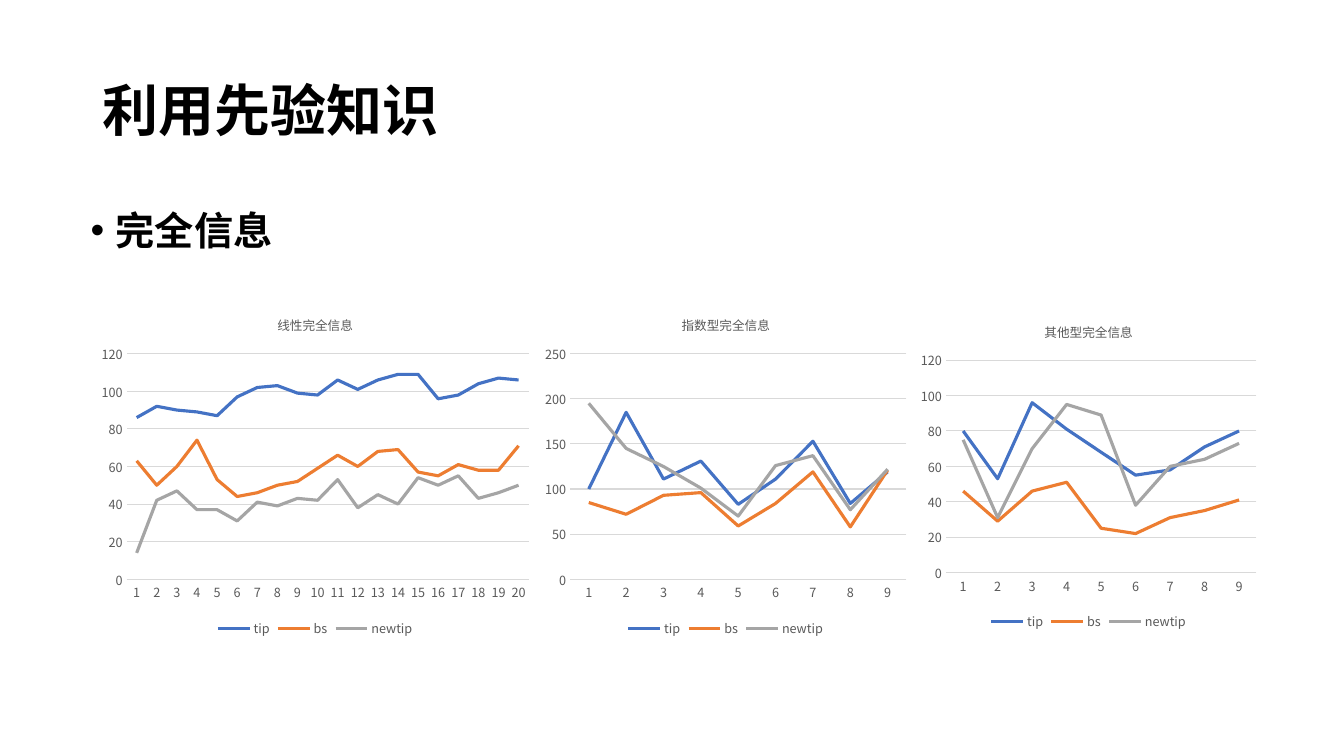
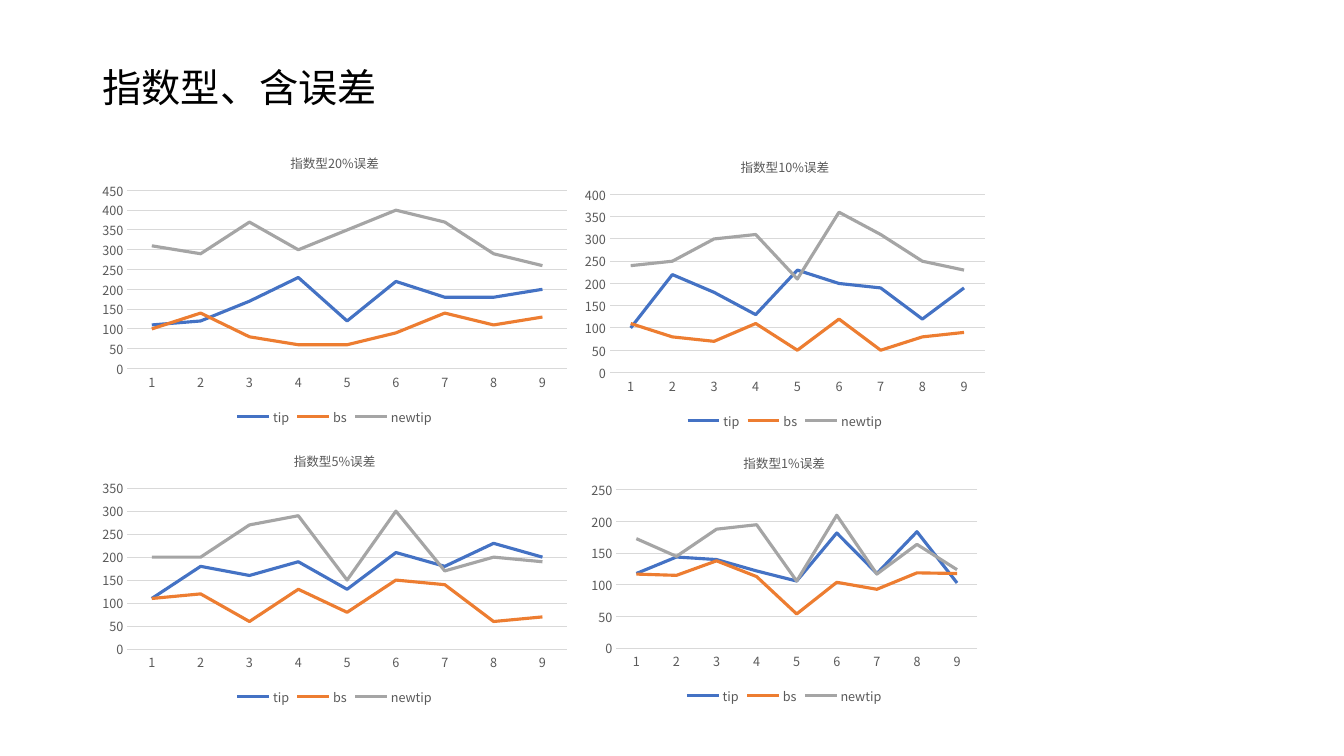
"""Builds two slides of line charts that compare three series."""
from dataclasses import dataclass

from lxml import etree
from pptx import Presentation, util as u
from pptx.chart import data as chart_data
from pptx.dml.color import RGBColor
from pptx.enum import chart as charts, text
from pptx.oxml import ns

FONT = "Noto Sans CJK SC"
BLACK, GREY, RULE = "000000", "595959", "D9D9D9"
SERIES = {"tip": "4472C4", "bs": "ED7D31", "newtip": "A5A5A5"}
WIDTH, HEIGHT = u.Inches(13.33), u.Inches(7.5)
LEFT, TEXT_WIDTH = 6.9, 86.25


@dataclass(frozen=True)
class Area:
    """A rectangle in percent of the slide's width and height."""
    left: float
    top: float
    width: float
    height: float

    def lengths(self) -> tuple:
        return (
            u.Emu(round(WIDTH * self.left / 100)),
            u.Emu(round(HEIGHT * self.top / 100)),
            u.Emu(round(WIDTH * self.width / 100)),
            u.Emu(round(HEIGHT * self.height / 100)),
        )


@dataclass(frozen=True)
class Panel:
    """A line chart with its title, place, scale and three value rows."""
    title: str
    area: Area
    top_value: int
    step: int
    rows: tuple


@dataclass(frozen=True)
class Heading:
    """The title of a slide."""
    words: str
    area: Area
    size: int
    bold: bool


FULL_PANELS = (
    Panel("线性完全信息", Area(LEFT, 39.73, 33.1, 45.07), 120, 20, (
        (86, 92, 90, 89, 87, 97, 102, 103, 99, 98,
         106, 101, 106, 109, 109, 96, 98, 104, 107, 106),
        (63, 50, 60, 74, 53, 44, 46, 50, 52, 59,
         66, 60, 68, 69, 57, 55, 61, 58, 58, 71),
        (14, 42, 47, 37, 37, 31, 41, 39, 43, 42,
         53, 38, 45, 40, 54, 50, 55, 43, 46, 50))),
    Panel("指数型完全信息", Area(40, 39.73, 28, 45.07), 250, 50, (
        (100, 185, 111, 131, 83, 111, 153, 84, 119),
        (85, 72, 93, 96, 59, 84, 119, 58, 121),
        (195, 145, 125, 101, 70, 126, 137, 77, 122))),
    Panel("其他型完全信息", Area(68, 40.67, 26, 43.2), 120, 20, (
        (80, 53, 96, 81, 68, 55, 58, 71, 80),
        (46, 29, 46, 51, 25, 22, 31, 35, 41),
        (75, 31, 70, 95, 89, 38, 60, 64, 73))),
)

ERROR_PANELS = (
    Panel("指数型20%误差", Area(LEFT, 18.4, 36, 38.4), 450, 50, (
        (110, 120, 170, 230, 120, 220, 180, 180, 200),
        (100, 140, 80, 60, 60, 90, 140, 110, 130),
        (310, 290, 370, 300, 350, 400, 370, 290, 260))),
    Panel("指数型10%误差", Area(42.9, 18.93, 31, 38.4), 400, 50, (
        (100, 220, 180, 130, 230, 200, 190, 120, 190),
        (110, 80, 70, 110, 50, 120, 50, 80, 90),
        (240, 250, 300, 310, 210, 360, 310, 250, 230))),
    Panel("指数型5%误差", Area(LEFT, 57.87, 36, 36), 350, 50, (
        (110, 180, 160, 190, 130, 210, 180, 230, 200),
        (110, 120, 60, 130, 80, 150, 140, 60, 70),
        (200, 200, 270, 290, 150, 300, 170, 200, 190))),
    Panel("指数型1%误差", Area(43.4, 58.13, 29.9, 35.6), 250, 50, (
        (118, 144, 140, 122, 106, 182, 118, 184, 103),
        (117, 115, 138, 113, 54, 104, 93, 119, 118),
        (173, 145, 188, 195, 106, 210, 117, 164, 124))),
)


def colour(code: str) -> RGBColor:
    return RGBColor.from_string(code)


def set_font(font, size: float, code: str, bold: bool = False) -> None:
    font.name, font.size, font.bold = FONT, u.Pt(size), bold
    font.color.rgb = colour(code)


def set_line(line, code: str, width: float) -> None:
    line.color.rgb = colour(code)
    line.width = u.Pt(width)


def add_east_asian(element) -> None:
    for latin in list(element.iter(ns.qn("a:latin"))):
        east = etree.Element(ns.qn("a:ea"), typeface=FONT)
        latin.addnext(east)


def add_bullet(para) -> None:
    props = para._p.get_or_add_pPr()
    props.set("marL", str(u.Inches(0.25)))
    props.set("indent", str(-u.Inches(0.25)))
    etree.SubElement(props, ns.qn("a:buFont"), typeface="Arial")
    etree.SubElement(props, ns.qn("a:buChar"), char="•")


def add_text(page, words: str, area: Area, *, size: float, bold: bool = False,
             anchor=text.MSO_ANCHOR.TOP, before: float = 0,
             bullet: bool = False) -> None:
    box = page.shapes.add_textbox(*area.lengths())
    frame = box.text_frame
    frame.word_wrap = True
    frame.vertical_anchor = anchor
    para = frame.paragraphs[0]
    para.line_spacing = 0.9
    para.space_before = u.Pt(before)
    if bullet:
        add_bullet(para)
    span = para.add_run()
    span.text = words
    set_font(span.font, size, BLACK, bold)
    add_east_asian(box.element)


def style_axes(chart, panel: Panel) -> None:
    for axis in (chart.category_axis, chart.value_axis):
        axis.major_tick_mark = axis.minor_tick_mark = charts.XL_TICK_MARK.NONE
        set_font(axis.tick_labels.font, 9, GREY)
    set_line(chart.category_axis.format.line, RULE, 0.75)
    values = chart.value_axis
    values.minimum_scale, values.maximum_scale = 0, panel.top_value
    values.major_unit = panel.step
    values.format.line.fill.background()
    set_line(values.major_gridlines.format.line, RULE, 0.75)


def add_panel(page, panel: Panel) -> None:
    data = chart_data.CategoryChartData()
    data.categories = [str(i + 1) for i in range(len(panel.rows[0]))]
    for name, row in zip(SERIES, panel.rows):
        data.add_series(name, row)
    chart = page.shapes.add_chart(
        charts.XL_CHART_TYPE.LINE, *panel.area.lengths(), data).chart
    set_font(chart.font, 10, BLACK)
    chart.has_title = True
    para = chart.chart_title.text_frame.paragraphs[0]
    span = para.add_run()
    span.text = panel.title
    set_font(span.font, 9, GREY)
    chart.has_legend = True
    chart.legend.position = charts.XL_LEGEND_POSITION.BOTTOM
    chart.legend.include_in_layout = False
    set_font(chart.legend.font, 9, GREY)
    style_axes(chart, panel)
    chart.plots[0].vary_by_categories = False
    for series, code in zip(chart.plots[0].series, SERIES.values()):
        series.smooth = False
        set_line(series.format.line, code, 2.25)
    add_east_asian(chart.element)


def add_page(deck, heading: Heading, panels: tuple):
    page = deck.slides.add_slide(deck.slide_layouts[6])
    add_text(page, heading.words, heading.area, size=heading.size,
             bold=heading.bold, anchor=text.MSO_ANCHOR.MIDDLE)
    for panel in panels:
        add_panel(page, panel)
    return page


def main() -> None:
    deck = Presentation()
    deck.slide_width, deck.slide_height = WIDTH, HEIGHT
    page = add_page(
        deck, Heading("利用先验知识", Area(LEFT, 5.33, TEXT_WIDTH, 19.33), 40, True),
        FULL_PANELS)
    add_text(page, "完全信息", Area(6, 27.33, TEXT_WIDTH, 10), size=28,
             bold=True, before=10, bullet=True)
    add_page(
        deck, Heading("指数型、含误差", Area(LEFT, 4.13, TEXT_WIDTH, 15.47), 28, False),
        ERROR_PANELS)
    deck.save("out.pptx")


if __name__ == "__main__":
    main()
